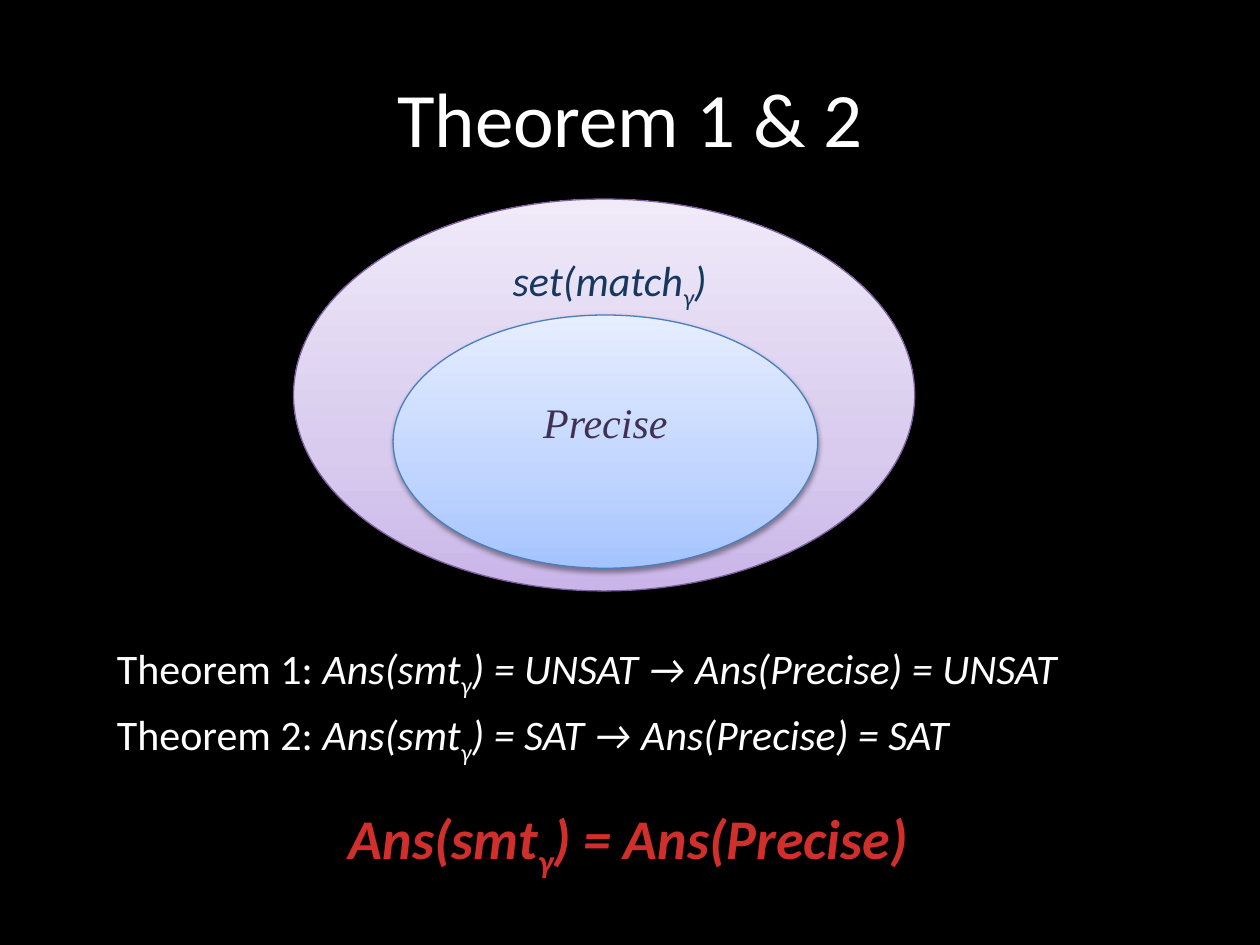
from dataclasses import dataclass

from lxml import etree
from pptx import Presentation
from pptx.dml.color import RGBColor
from pptx.enum.shapes import MSO_SHAPE
from pptx.enum.text import MSO_ANCHOR, MSO_AUTO_SIZE, PP_ALIGN
from pptx.oxml import parse_xml
from pptx.oxml.ns import nsdecls
from pptx.util import Inches, Pt

OVAL = MSO_SHAPE.OVAL
TOP, MIDDLE = MSO_ANCHOR.TOP, MSO_ANCHOR.MIDDLE
LEFT, CENTER = PP_ALIGN.LEFT, PP_ALIGN.CENTER
GROW, FIXED = MSO_AUTO_SIZE.SHAPE_TO_FIT_TEXT, MSO_AUTO_SIZE.NONE
SUBSCRIPT = "γ"


@dataclass(frozen=True)
class Theme:
    """Colours, fonts and type sizes of the slide."""
    background: str = "000000"
    text: str = "FFFFFF"
    conclusion: str = "D02F2C"
    match_label: str = "17375E"
    precise_label: str = "403152"
    purple: tuple[str, ...] = ("C9B5E8", "D8CBEE", "F0EAF9")
    purple_line: str = "7D60A0"
    blue: tuple[str, ...] = ("A4C4FF", "BFD4FF", "E6EEFF")
    blue_line: str = "4B7EBC"
    font: str = "Calibri"
    serif: str = "Times New Roman"
    title_size: int = 44
    conclusion_size: int = 32
    body_size: int = 24


@dataclass(frozen=True)
class Box:
    """A place on the slide, in inches."""
    left: float
    top: float
    width: float
    height: float

    def lengths(self) -> tuple:
        """Return the four values as lengths."""
        return tuple(map(Inches, (self.left, self.top, self.width, self.height)))


@dataclass(frozen=True)
class SetOval:
    """An oval that stands for a set."""
    box: Box
    shades: tuple[str, ...]
    line: str


@dataclass(frozen=True)
class Theorem:
    """A theorem with its heading and formula."""
    heading: str
    formula: str


THEME = Theme()
MATCH_OVAL = SetOval(Box(2.33, 1.58, 4.93, 3.11), THEME.purple, THEME.purple_line)
PRECISE_OVAL = SetOval(Box(3.12, 2.5, 3.37, 2.01), THEME.blue, THEME.blue_line)
THEOREMS = (
    Theorem("Theorem 1: ", "Ans(smtγ) = UNSAT → Ans(Precise) = UNSAT"),
    Theorem("Theorem 2: ", "Ans(smtγ) = SAT → Ans(Precise) = SAT"),
)


def add_text(p, text: str, *, size: int = THEME.body_size, color: str = THEME.text,
             font: str = THEME.font, bold: bool = False, italic: bool = False) -> None:
    """Append text to a paragraph, lowering the subscript letter."""
    before, mark, after = text.partition(SUBSCRIPT)
    for part in filter(None, (before, mark, after)):
        r = p.add_run()
        r.text = part
        r.font.size, r.font.name = Pt(size), font
        r.font.bold, r.font.italic = bold, italic
        r.font.color.rgb = RGBColor.from_string(color)
        if part == SUBSCRIPT:
            r._r.get_or_add_rPr().set("baseline", "-25000")


def add_box(slide, box: Box, *, wrap: bool = True, anchor=TOP, align=LEFT):
    """Add an empty text box and return its text frame."""
    tf = slide.shapes.add_textbox(*box.lengths()).text_frame
    tf.word_wrap = wrap
    tf.auto_size = FIXED if wrap else GROW
    tf.vertical_anchor = anchor
    tf.paragraphs[0].alignment = align
    return tf


def add_oval(slide, oval: SetOval):
    """Add an oval with a vertical gradient and a soft shadow."""
    sp = slide.shapes.add_shape(OVAL, *oval.box.lengths())
    sp.line.color.rgb = RGBColor.from_string(oval.line)
    sp.line.width = Pt(0.75)
    sp.fill.gradient()
    grad = sp._element.spPr.find("{*}gradFill")
    stops = grad.find("{*}gsLst")
    for stop in list(stops):
        stops.remove(stop)
    for position, color in zip((0, 35, 100), oval.shades):
        stops.append(parse_xml(
            f'<a:gs {nsdecls("a")} pos="{position * 1000}"><a:srgbClr val="{color}"/></a:gs>'))
    grad.find("{*}lin").set("ang", "16200000")
    sp.shadow.inherit = False
    effects = sp._element.spPr.find("{*}effectLst")
    shadow = etree.SubElement(effects, effects.tag.replace("effectLst", "outerShdw"),
                              blurRad=str(Pt(3.1)), dist=str(Pt(1.6)),
                              dir="5400000", rotWithShape="0")
    shadow.append(parse_xml(
        f'<a:srgbClr {nsdecls("a")} val="000000"><a:alpha val="38000"/></a:srgbClr>'))
    return sp


def add_sets(slide) -> None:
    """Draw the two nested sets and their labels."""
    add_oval(slide, MATCH_OVAL)
    tf = add_oval(slide, PRECISE_OVAL).text_frame
    tf.vertical_anchor = TOP
    tf.margin_top = Inches(0.35)
    tf.paragraphs[0].alignment = CENTER
    add_text(tf.paragraphs[0], "Precise", font=THEME.serif,
             color=THEME.precise_label, italic=True)
    tf = add_box(slide, Box(3.97, 1.97, 1.76, 0.5), wrap=False)
    add_text(tf.paragraphs[0], "set(matchγ)", color=THEME.match_label, italic=True)


def add_theorems(slide) -> None:
    """Write the theorems, one to a paragraph."""
    tf = add_box(slide, Box(0.83, 5.05, 9.17, 1.7))
    for i, theorem in enumerate(THEOREMS):
        p = tf.add_paragraph() if i else tf.paragraphs[0]
        p.space_before = Pt(5)
        add_text(p, theorem.heading)
        add_text(p, theorem.formula, italic=True)


def main() -> None:
    """Build and save the slide."""
    prs = Presentation()
    prs.slide_width, prs.slide_height = Inches(10), Inches(7.5)
    slide = prs.slides.add_slide(prs.slide_layouts[6])
    slide.background.fill.solid()
    slide.background.fill.fore_color.rgb = RGBColor.from_string(THEME.background)

    add_sets(slide)
    tf = add_box(slide, Box(0.5, 0.3, 9, 1.25), anchor=MIDDLE, align=CENTER)
    add_text(tf.paragraphs[0], "Theorem 1 & 2", size=THEME.title_size)
    add_theorems(slide)
    tf = add_box(slide, Box(2.67, 6.33, 4.72, 0.64), wrap=False)
    add_text(tf.paragraphs[0], "Ans(smtγ) = Ans(Precise)", size=THEME.conclusion_size,
             color=THEME.conclusion, bold=True, italic=True)
    prs.save("out.pptx")


main()
